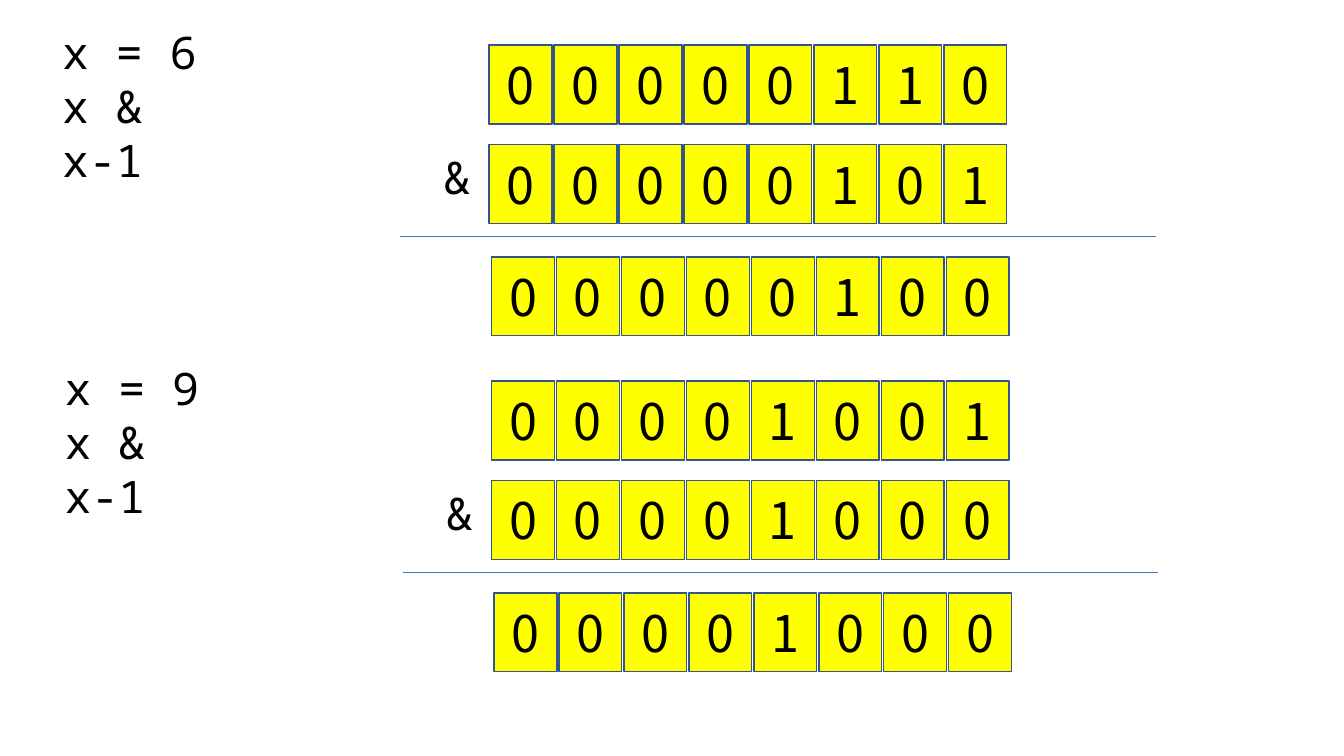
"""Build a slide that works out x & x-1 in binary for two values of x."""
from dataclasses import dataclass

from lxml.etree import SubElement
from pptx import Presentation
from pptx.dml.color import RGBColor
from pptx.enum.shapes import MSO_CONNECTOR as Connector, MSO_SHAPE as Shape
from pptx.enum.text import MSO_ANCHOR as Anchor, MSO_AUTO_SIZE as AutoSize, PP_ALIGN as Align
from pptx.oxml.ns import qn
from pptx.util import Pt


@dataclass(frozen=True)
class Theme:
    ink: RGBColor = RGBColor(0x00, 0x00, 0x00)
    cell: RGBColor = RGBColor(0xFF, 0xFF, 0x00)
    border: RGBColor = RGBColor(0x32, 0x54, 0x91)
    rule: RGBColor = RGBColor(0x44, 0x72, 0xC4)
    code_font: str = "Noto Sans Mono"
    bit_font: str = "Noto Sans CJK KR"
    code_size: int = 32
    bit_size: int = 36


THEME = Theme()
BIT_WIDTH, BIT_HEIGHT, BIT_STEP = 44.9, 56.3, 46.4
RESULT_SHIFT = 1.75
EXAMPLE_STEP = 240


def style_text(para, font_name, size):
    para.font.name = font_name
    para.font.size = Pt(size)
    para.font.color.rgb = THEME.ink


def add_code(page, left, top, width, height, lines):
    box = page.shapes.add_textbox(Pt(left), Pt(top), Pt(width), Pt(height))
    frame = box.text_frame
    frame.word_wrap = True
    frame.auto_size = AutoSize.SHAPE_TO_FIT_TEXT
    frame.text = "\n".join(lines)
    for para in frame.paragraphs:
        style_text(para, THEME.code_font, THEME.code_size)


def add_bit(page, left, top, bit):
    box = page.shapes.add_shape(
        Shape.RECTANGLE, Pt(left), Pt(top), Pt(BIT_WIDTH), Pt(BIT_HEIGHT))
    box.shadow.inherit = False
    box.fill.solid()
    box.fill.fore_color.rgb = THEME.cell
    box.line.color.rgb = THEME.border
    box.line.width = Pt(1)
    frame = box.text_frame
    frame.vertical_anchor = Anchor.MIDDLE
    frame.text = bit
    para = frame.paragraphs[0]
    para.alignment = Align.CENTER
    style_text(para, THEME.bit_font, THEME.bit_size)


def add_byte(page, left, top, value):
    for column, bit in enumerate(f"{value:08b}"):
        add_bit(page, left + column * BIT_STEP, top, bit)


def add_rule(page, left, right, top):
    rule = page.shapes.add_connector(
        Connector.STRAIGHT, Pt(left), Pt(top), Pt(right), Pt(top))
    rule.line.color.rgb = THEME.rule
    rule.line.width = Pt(0.5)
    SubElement(rule.element.spPr, qn("a:effectLst"))


def add_example(page, left, top, x):
    add_code(page, left + 37.4, top + 14.4, 139, 85, [f"x = {x}", "x & x-1"])
    add_byte(page, left + 349.4, top + 32.3, x)
    add_byte(page, left + 349.4, top + 103.2, x - 1)
    add_rule(page, left + 285.8, left + 825.4, top + 169)
    add_byte(page, left + 349.4 + RESULT_SHIFT, top + 183.6, x & (x - 1))
    add_code(page, left + 309.8, top + 103.2, 32.4, 46, ["&"])


def main():
    deck = Presentation()
    deck.slide_width, deck.slide_height = Pt(960), Pt(540)
    page = deck.slides.add_slide(deck.slide_layouts[6])
    for index, x in enumerate((6, 9)):
        add_example(page, index * RESULT_SHIFT, index * EXAMPLE_STEP, x)
    deck.save("out.pptx")


if __name__ == "__main__":
    main()
